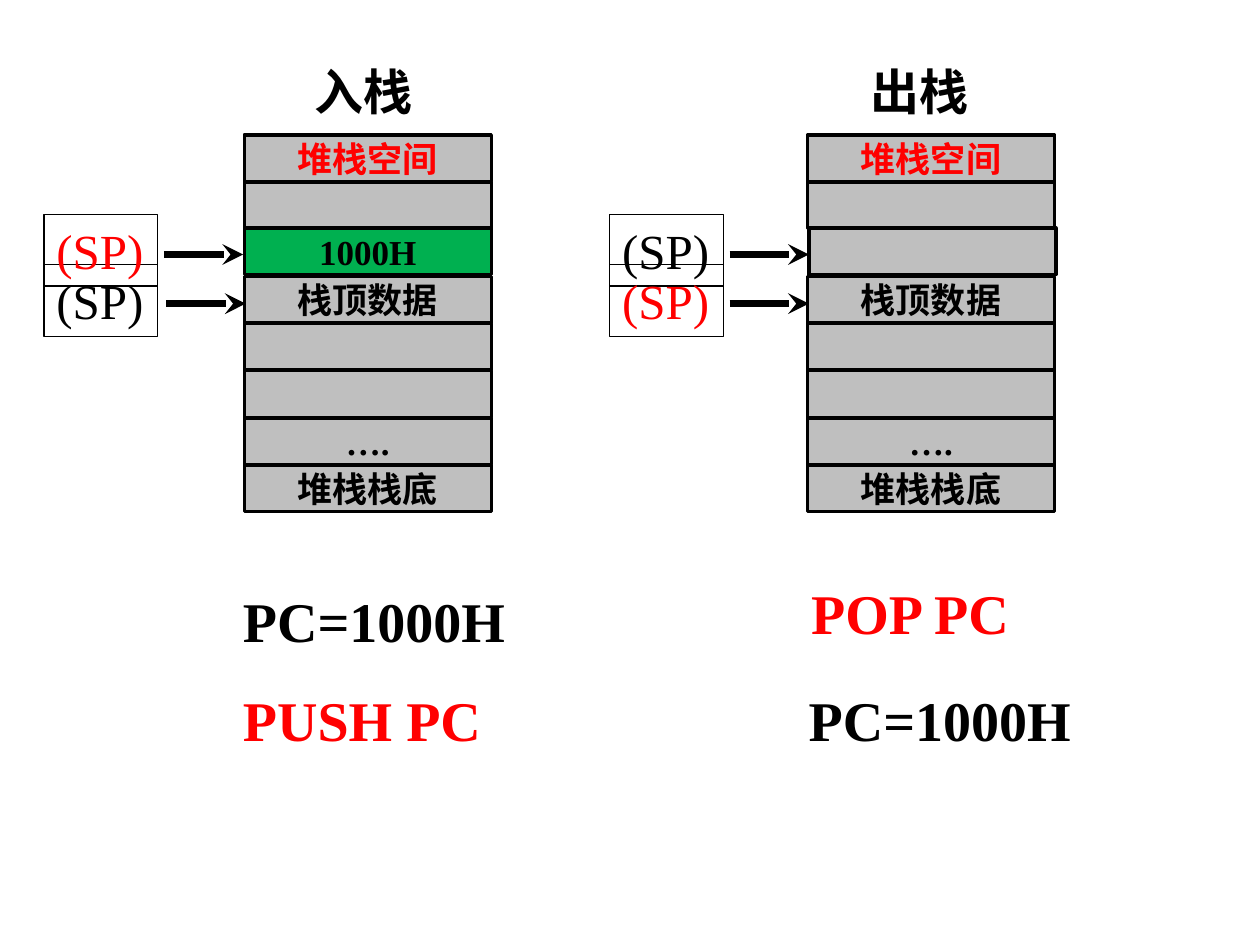
from pptx import Presentation
from pptx.dml.color import RGBColor
from pptx.enum import shapes, text
from pptx.oxml.ns import qn
from pptx.util import Inches, Pt
from lxml import etree

BLACK = RGBColor(0x00, 0x00, 0x00)
RED = RGBColor(0xFF, 0x00, 0x00)
GRAY = RGBColor(0xBF, 0xBF, 0xBF)
GREEN = RGBColor(0x00, 0xB0, 0x50)
FONT = "Times New Roman"

STACK_TOP = 1.07
ROW_PITCH = 0.3745
CELL_WIDTH, CELL_HEIGHT = 1.96, 0.37
ROWS = ["堆栈空间", "", None, "栈顶数据", "", "", "….", "堆栈栈底"]
VALUE_TOP = 1.81  # the cell that is pushed or popped


def write(shape, words, size, color, bold=True):
    para = shape.text_frame.paragraphs[0]
    para.text = words
    para.font.name = FONT
    para.font.size = Pt(size)
    para.font.bold = bold
    para.font.color.rgb = color
    return para


def add_cell(slide, left, top, words="", fill=GRAY, color=BLACK):
    cell = slide.shapes.add_shape(
        shapes.MSO_SHAPE.RECTANGLE,
        Inches(left), Inches(top), Inches(CELL_WIDTH), Inches(CELL_HEIGHT))
    cell.shadow.inherit = False
    cell.fill.solid()
    cell.fill.fore_color.rgb = fill
    cell.line.color.rgb = BLACK
    cell.line.width = Pt(2)
    if words:
        cell.text_frame.vertical_anchor = text.MSO_ANCHOR.MIDDLE
        write(cell, words, 20, color).alignment = text.PP_ALIGN.CENTER


def add_stack(slide, left):
    for row, words in enumerate(ROWS):
        if words is not None:
            add_cell(slide, left, STACK_TOP + row * ROW_PITCH, words,
                     color=BLACK if row else RED)


def add_label(slide, left, top, width, height, words, size, color=BLACK, bold=True):
    box = slide.shapes.add_textbox(
        Inches(left), Inches(top), Inches(width), Inches(height))
    box.text_frame.word_wrap = False
    box.text_frame.auto_size = text.MSO_AUTO_SIZE.SHAPE_TO_FIT_TEXT
    write(box, words, size, color, bold)
    return box


def add_pointer(slide, left, top, arrow_left, arrow_top, color):
    box = add_label(slide, left, top, 0.9, 0.57, "(SP)", 28, color, bold=False)
    box.line.color.rgb = BLACK
    box.line.width = Pt(0.75)

    arrow = slide.shapes.add_connector(
        shapes.MSO_CONNECTOR.STRAIGHT, Inches(arrow_left), Inches(arrow_top),
        Inches(arrow_left + 0.63), Inches(arrow_top))
    arrow.line.color.rgb = BLACK
    arrow.line.width = Pt(4)
    etree.SubElement(arrow.line._get_or_add_ln(), qn("a:tailEnd"), type="stealth")
    etree.SubElement(arrow._element.spPr, qn("a:effectLst"))


def main():
    deck = Presentation()
    deck.slide_width, deck.slide_height = Inches(10), Inches(7.5)
    slide = deck.slides.add_slide(deck.slide_layouts[6])

    # Push: the value lands on the stack and SP moves up
    add_label(slide, 2.4, 0.44, 0.99, 0.57, "入栈", 28)
    add_stack(slide, 1.94)
    add_cell(slide, 1.94, VALUE_TOP, "1000H", GREEN)
    add_pointer(slide, 0.35, 2.1, 1.32, 2.41, BLACK)
    add_pointer(slide, 0.35, 1.7, 1.3, 2.02, RED)
    add_label(slide, 1.83, 4.61, 2.3, 0.64, "PC=1000H", 32)
    add_label(slide, 1.83, 5.39, 2.22, 0.64, "PUSH PC", 32, RED)

    # Pop: the value leaves the stack and SP moves down
    add_label(slide, 6.81, 0.44, 0.99, 0.57, "出栈", 28)
    add_stack(slide, 6.41)
    add_cell(slide, 6.42, VALUE_TOP)
    add_pointer(slide, 4.84, 1.7, 5.79, 2.02, BLACK)
    add_pointer(slide, 4.84, 2.1, 5.79, 2.41, RED)
    add_label(slide, 6.34, 4.54, 1.9, 0.64, "POP PC", 32, RED)
    add_label(slide, 6.32, 5.39, 2.3, 0.64, "PC=1000H", 32)

    deck.save("out.pptx")


if __name__ == "__main__":
    main()
